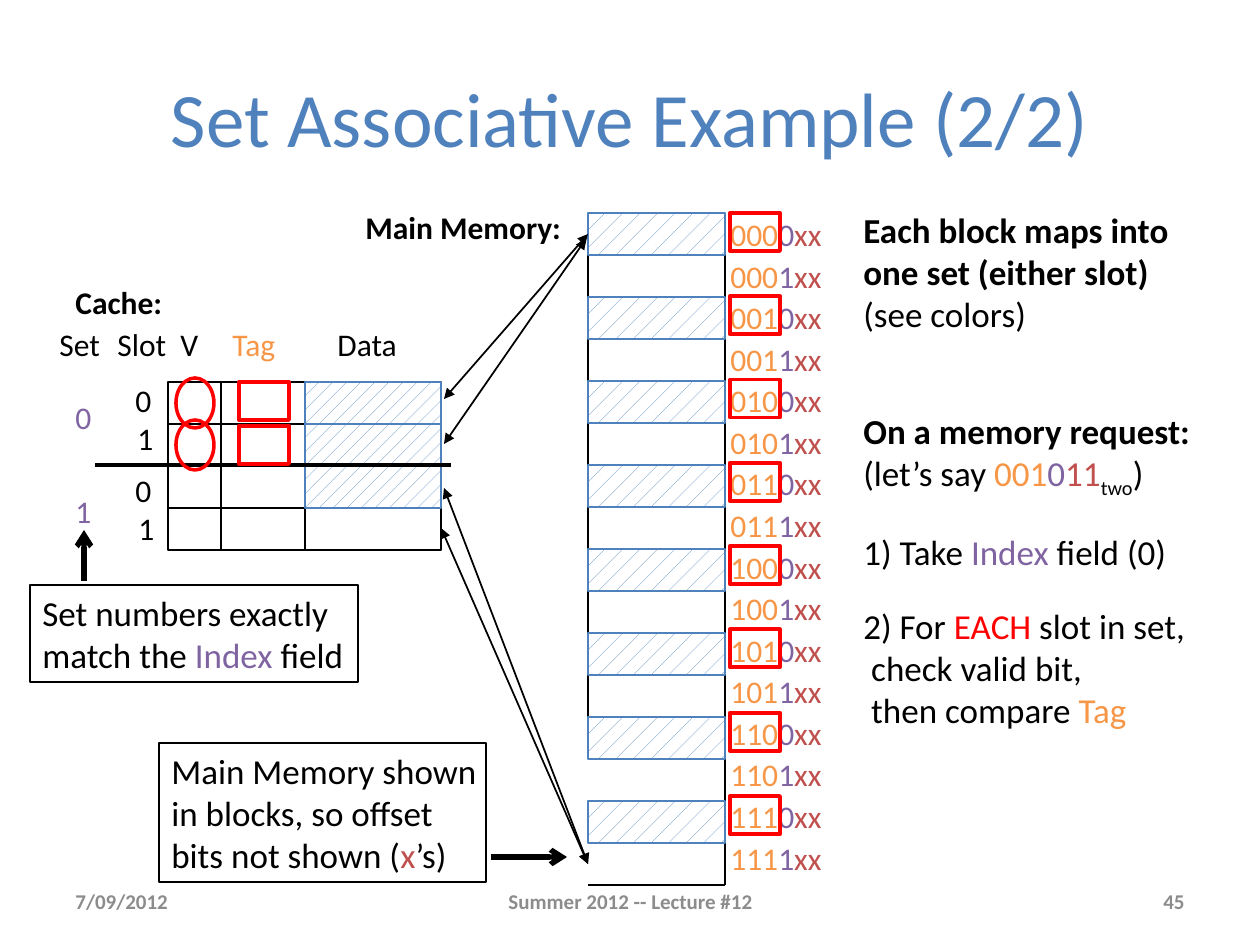
from dataclasses import dataclass

from lxml.etree import SubElement
from pptx import Presentation
from pptx.dml.color import RGBColor
from pptx.enum.dml import MSO_PATTERN
from pptx.enum.shapes import MSO_CONNECTOR, MSO_SHAPE
from pptx.enum.text import MSO_ANCHOR, PP_ALIGN
from pptx.oxml.ns import qn
from pptx.util import Emu, Pt


@dataclass(frozen=True)
class Theme:
    font: str = "Calibri"
    ink: str = "000000"
    paper: str = "FFFFFF"
    accent: str = "4F81BD"
    muted: str = "8C8C8C"
    tag: str = "F79646"
    index: str = "8064A2"
    offset: str = "C0504D"
    alert: str = "FF0000"
    title_size: int = 44
    body_size: int = 20
    label_size: int = 18
    footer_size: int = 12


THEME = Theme()
BOLD = {"bold": True}
TAG, INDEX, OFFSET, ALERT = ({"color": color} for color in
                             (THEME.tag, THEME.index, THEME.offset, THEME.alert))

# Paragraphs are lists of (text, style) spans; "\n" is a line break.
TITLE = [[("Set Associative Example (2/2)", {"color": THEME.accent})]]
FOOTERS = [
    ("7/09/2012", 63, 294, PP_ALIGN.LEFT),
    ("Summer 2012 -- Lecture #12", 431, 399, PP_ALIGN.CENTER),
    ("45", 903, 294, PP_ALIGN.RIGHT),
]
LABELS = [  # text, style, left, top, width
    ("Main Memory:", BOLD, 353, 202, 227),
    ("Cache:", BOLD, 63, 277, 113),
    ("Set", {}, 47, 319, 67),
    ("Slot", {}, 105, 319, 74),
    ("V", {}, 168, 319, 47),
    ("Tag", TAG, 220, 319, 69),
    ("Data", {}, 325, 319, 92),
    ("0", INDEX, 63, 392, 43),
    ("1", INDEX, 63, 486, 43),
    ("0", {}, 123, 375, 43),
    ("1", {}, 125, 413, 43),
    ("0", {}, 123, 465, 43),
    ("1", {}, 126, 503, 43),
]
MAPPING_NOTE = [[("Each block maps into one set (either slot)", BOLD)], [("(see colors)", {})]]
REQUEST_STEPS = [
    [("On a memory request:", BOLD), ("\n", {}), ("(let’s say ", {}), ("001", TAG),
     ("0", INDEX), ("11", OFFSET), ("two", {"baseline": -25000}), (")", {})],
    [("1) Take ", {}), ("Index", INDEX), (" field (0)", {})],
    [("2) For ", {}), ("EACH", ALERT), (" slot in set,", {})],
    [(" check valid bit,", {})],
    [(" then compare ", {}), ("Tag", TAG)],
]
INDEX_NOTE = [[("Set numbers exactly match the ", {}), ("Index", INDEX), (" field", {})]]
OFFSET_NOTE = [[("Main Memory shown in blocks, so offset bits not shown (", {}),
                ("x", OFFSET), ("’s)", {})]]
ADDRESSES = [[(f"{block >> 1:03b}", TAG), (f"{block & 1}", INDEX), ("xx", OFFSET)]
             for block in range(16)]
MAPPINGS = [  # from point, to point
    ((588, 234), (444, 399)), ((586, 239), (444, 444)),
    ((441, 528), (588, 864)), ((444, 488), (588, 864)),
]

ROW = 42
MEMORY_LEFT, MEMORY_TOP, MEMORY_WIDTH, BLOCKS = 588, 213, 137, 16
CACHE_LEFT, CACHE_TOP, SLOTS = 168, 382, 4
CACHE_COLUMNS = [53, 84, 136]
TAG_BOX = (50, 38)

deck = Presentation()


def px(value):
    return Emu(round(value * 914400 / 126))


deck.slide_width, deck.slide_height = px(1260), px(945)
page = deck.slides.add_slide(deck.slide_layouts[6])


def rgb(color):
    return RGBColor.from_string(color)


def add_line(start, end, width=1, head=None, tail=None):
    """head and tail name the arrowheads at start and end."""
    line = page.shapes.add_connector(MSO_CONNECTOR.STRAIGHT,
                                     *(px(value) for value in (*start, *end)))
    line.line.color.rgb = rgb(THEME.ink)
    line.line.width = Pt(width)
    outline = line.line._get_or_add_ln()
    for name, kind in (("a:headEnd", head), ("a:tailEnd", tail)):
        if kind:
            SubElement(outline, qn(name), type=kind)
    SubElement(line._element.spPr, qn("a:effectLst"))


def add_outline(bounds, color=THEME.ink, width=1, kind=MSO_SHAPE.RECTANGLE, pattern=None):
    shape = page.shapes.add_shape(kind, *(px(value) for value in bounds))
    shape.shadow.inherit = False
    shape.line.color.rgb = rgb(color)
    shape.line.width = Pt(width)
    if pattern is None:
        shape.fill.background()
    else:
        shape.fill.patterned()
        shape.fill.pattern = pattern
        shape.fill.fore_color.rgb = rgb(THEME.accent)
        shape.fill.back_color.rgb = rgb(THEME.paper)
    return shape


def write(shape, paragraphs, size, align=PP_ALIGN.LEFT, anchor=MSO_ANCHOR.TOP,
          wrap=True, spacing=None, gaps=()):
    """gaps holds the indexes of paragraphs with space before."""
    frame = shape.text_frame
    frame.word_wrap = wrap
    frame.vertical_anchor = anchor
    for number, spans in enumerate(paragraphs):
        para = frame.add_paragraph() if number else frame.paragraphs[0]
        para.alignment = align
        if spacing:
            para.line_spacing = spacing
        if number in gaps:
            para.space_before = Pt(18)
        for text, style in spans:
            if text == "\n":
                para.add_line_break()
                continue
            span = para.add_run()
            span.text = text
            span.font.name = THEME.font
            span.font.size = Pt(size)
            span.font.bold = style.get("bold", False)
            span.font.color.rgb = rgb(style.get("color", THEME.ink))
            if "baseline" in style:
                span.font._element.set("baseline", str(style["baseline"]))


def add_text(bounds, paragraphs, size, **layout):
    box = page.shapes.add_textbox(*(px(value) for value in bounds))
    write(box, paragraphs, size, **layout)


def draw_memory():
    right = MEMORY_LEFT + MEMORY_WIDTH
    bottom = MEMORY_TOP + BLOCKS * ROW
    for row in range(BLOCKS + 1):
        y = MEMORY_TOP + row * ROW
        add_line((MEMORY_LEFT, y), (right, y))
    add_line((MEMORY_LEFT, MEMORY_TOP), (MEMORY_LEFT, MEMORY_TOP + 12 * ROW))
    add_line((right, MEMORY_TOP), (right, bottom))
    for row in range(0, BLOCKS, 2):
        add_outline((MEMORY_LEFT, MEMORY_TOP + row * ROW, MEMORY_WIDTH, ROW),
                    THEME.accent, pattern=MSO_PATTERN.PERCENT_5)
    add_text((718, 205, 136, 684), ADDRESSES, THEME.label_size, spacing=1.1)
    for pair in range(BLOCKS // 2):
        add_outline((730, MEMORY_TOP + pair * 83.3, *TAG_BOX), THEME.alert, 2.25)


def draw_cache():
    left = CACHE_LEFT
    for width in CACHE_COLUMNS:
        add_outline((left, CACHE_TOP, width, SLOTS * ROW))
        left += width
    for row in range(1, SLOTS):
        y = CACHE_TOP + row * ROW
        add_line((CACHE_LEFT, y), (left, y))
    data_width = CACHE_COLUMNS[-1]
    for row in range(3):
        add_outline((left - data_width, CACHE_TOP + row * ROW, data_width, ROW),
                    THEME.accent, pattern=MSO_PATTERN.PERCENT_10)
    middle = CACHE_TOP + 2 * ROW - 1
    add_line((95, middle), (451, middle), 2.25)
    for row in range(2):
        add_outline((239, CACHE_TOP + row * 44, *TAG_BOX), THEME.alert, 2.25)
        add_outline((176, 378 + row * ROW, 38, 50), THEME.alert, 2, MSO_SHAPE.OVAL)


def draw_notes():
    add_text((851, 202, 378, 140), MAPPING_NOTE, THEME.body_size)
    add_text((851, 403, 378, 331), REQUEST_STEPS, THEME.body_size, gaps=(1, 2))
    write(add_outline((30, 585, 328, 97)), INDEX_NOTE, THEME.body_size)
    add_line((84, 581), (84, 530), 3, tail="arrow")
    offset_box = add_outline((159, 743, 327, 139))
    offset_box.text_frame.margin_right = 0
    write(offset_box, OFFSET_NOTE, THEME.body_size)
    add_line((491, 857), (567, 857), 3, tail="arrow")


add_text((63, 38, 1134, 157), TITLE, THEME.title_size,
         align=PP_ALIGN.CENTER, anchor=MSO_ANCHOR.MIDDLE)
for text, left, width, align in FOOTERS:
    add_text((left, 876, width, 50), [[(text, {"color": THEME.muted, "bold": True})]],
             THEME.footer_size, align=align, anchor=MSO_ANCHOR.MIDDLE)
draw_memory()
draw_cache()
for start, end in MAPPINGS:
    add_line(start, end, head="triangle", tail="triangle")
for text, style, left, top, width in LABELS:
    add_text((left, top, width, 50), [[(text, style)]], THEME.label_size, wrap=False)
draw_notes()
deck.save("out.pptx")
